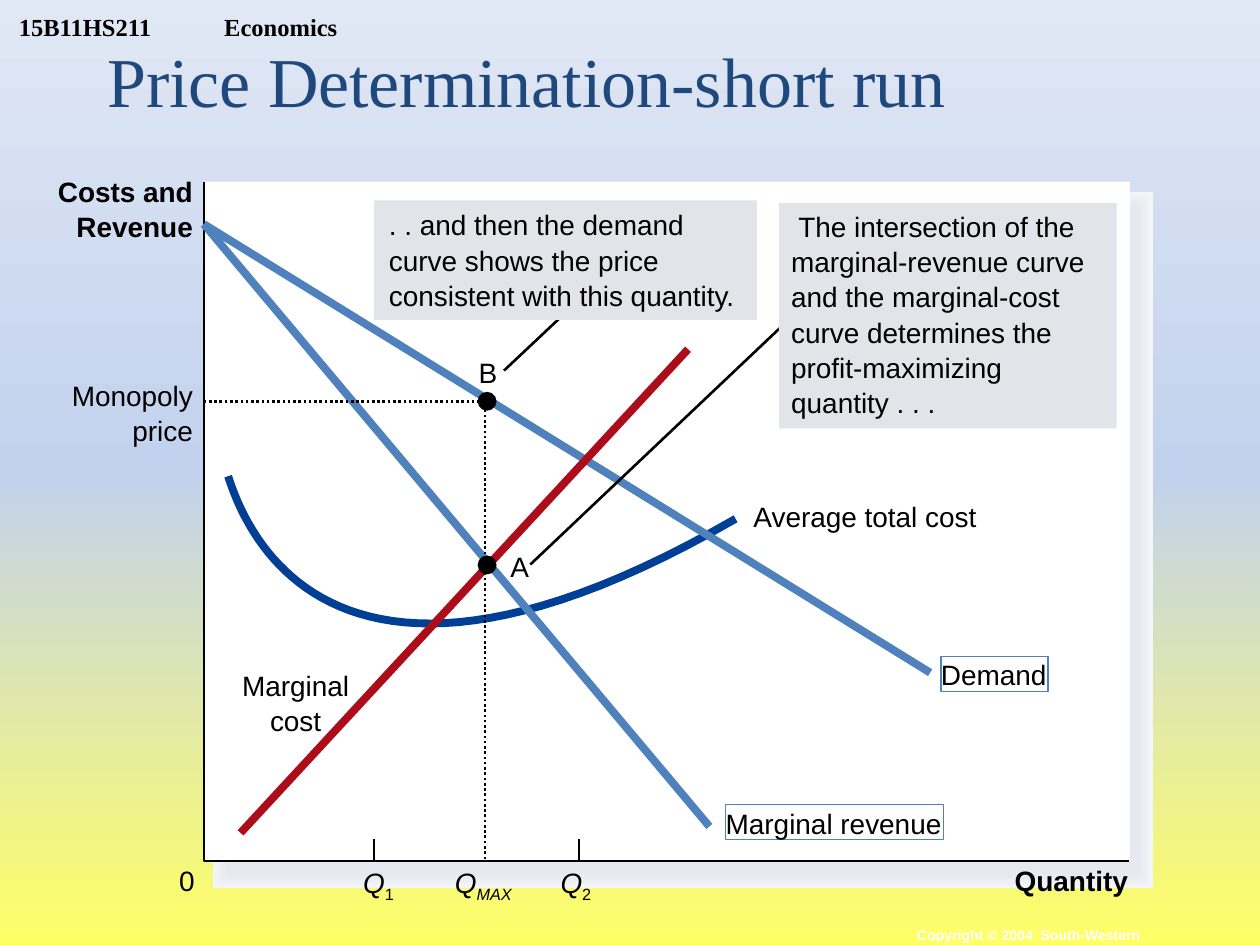
from copy import deepcopy
from dataclasses import dataclass

from lxml import etree
from pptx import Presentation
from pptx import util as u
from pptx.dml.color import RGBColor
from pptx.enum import dml, shapes, text
from pptx.oxml import ns

BLACK, BLUE, NAVY, RED = "000000", "4F81BD", "003F95", "AD0D1B"
LINE_HEIGHT = 0.71
AXIS_LABEL_TOP, QUANTITY_TOP = 17.38, 17.5
LEFT, CENTER, RIGHT = text.PP_ALIGN.LEFT, text.PP_ALIGN.CENTER, text.PP_ALIGN.RIGHT
Point = tuple[float, float]


@dataclass
class Label:
    words: str
    left: float
    top: float
    width: float
    align: text.PP_ALIGN = LEFT
    bold: bool = False
    italic: bool = False
    subscript: str = ""
    outline: str = ""


@dataclass
class Segment:
    start: Point
    end: Point
    color: str = BLACK
    weight: float = 1.5


@dataclass
class Callout:
    words: str
    box: tuple[float, float, float, float]
    insets: tuple[float, float, float, float]
    leader: Segment


def rgb(color: str) -> RGBColor:
    return RGBColor.from_string(color)


def style_line(line, color: str, weight: float) -> None:
    line.color.rgb = rgb(color)
    line.width = u.Pt(weight)


def set_insets(frame, left=0.0, top=0.0, right=0.0, bottom=0.0) -> None:
    frame.margin_left, frame.margin_top = u.Cm(left), u.Cm(top)
    frame.margin_right, frame.margin_bottom = u.Cm(right), u.Cm(bottom)


def style_text(paragraph, size: float, color: str = BLACK, name: str = "Arial",
               bold: bool = False, italic: bool = False) -> None:
    font = paragraph.font
    font.size, font.name, font.bold, font.italic = u.Pt(size), name, bold, italic
    font.color.rgb = rgb(color)


def draw_shape(slide, kind, box, fill: str, line: str = "", weight: float = 0):
    shape = slide.shapes.add_shape(kind, *map(u.Cm, box))
    shape.shadow.inherit = False
    shape.fill.solid()
    shape.fill.fore_color.rgb = rgb(fill)
    if line:
        style_line(shape.line, line, weight)
        outline = shape.element.spPr.find(ns.qn("a:ln"))
        etree.SubElement(outline, ns.qn("a:miter"), lim="800000")
    else:
        shape.line.fill.background()
    return shape


def draw_segment(slide, segment: Segment) -> None:
    line = slide.shapes.add_connector(
        shapes.MSO_CONNECTOR.STRAIGHT, *map(u.Cm, segment.start + segment.end))
    style_line(line.line, segment.color, segment.weight)
    etree.SubElement(line.element.spPr, ns.qn("a:effectLst"))


def draw_path(slide, points: list[Point], color: str = BLACK, weight: float = 1.5):
    start, *rest = [(u.Cm(x), u.Cm(y)) for x, y in points]
    builder = slide.shapes.build_freeform(*start)
    builder.add_line_segments(rest, close=False)
    path = builder.convert_to_shape()
    path.shadow.inherit = False
    path.fill.background()
    style_line(path.line, color, weight)
    return path


def bezier(controls: list[Point], steps: int = 48) -> list[Point]:
    """Points along a cubic curve."""
    points = []
    for step in range(steps + 1):
        t = step / steps
        weights = ((1 - t) ** 3, 3 * t * (1 - t) ** 2, 3 * t * t * (1 - t), t ** 3)
        points.append(tuple(sum(w * c[axis] for w, c in zip(weights, controls))
                            for axis in (0, 1)))
    return points


def draw_label(slide, label: Label) -> None:
    height = LINE_HEIGHT * (label.words.count("\v") + 1)
    box = slide.shapes.add_textbox(
        *map(u.Cm, (label.left, label.top, label.width, height)))
    if label.outline:
        style_line(box.line, label.outline, 0.75)
    set_insets(box.text_frame)
    box.text_frame.word_wrap = False
    paragraph = box.text_frame.paragraphs[0]
    paragraph.text = label.words
    paragraph.alignment = label.align
    paragraph.line_spacing = u.Cm(LINE_HEIGHT)
    style_text(paragraph, 16, bold=label.bold, italic=label.italic)
    if label.subscript:
        run = paragraph.add_run()
        run.text = label.subscript
        run.font.italic = label.subscript.isalpha()
        run.font._element.set("baseline", "-25000")


def draw_callout(slide, callout: Callout) -> None:
    draw_segment(slide, callout.leader)
    box = draw_shape(slide, shapes.MSO_SHAPE.RECTANGLE, callout.box, "E1E5E9")
    frame = box.text_frame
    frame.word_wrap = True
    frame.vertical_anchor = text.MSO_ANCHOR.TOP
    set_insets(frame, *callout.insets)
    paragraph = frame.paragraphs[0]
    paragraph.text = callout.words
    paragraph.alignment = LEFT
    paragraph.line_spacing = u.Cm(LINE_HEIGHT)
    style_text(paragraph, 16)


def draw_point(slide, center: Point, diameter: float = 0.38) -> None:
    x, y = (c - diameter / 2 for c in center)
    draw_shape(slide, shapes.MSO_SHAPE.OVAL, (x, y, diameter, diameter), BLACK)


def paint_background(slide) -> None:
    fill = slide.background.fill
    fill.gradient()
    fill.gradient_angle = 90
    stop_list = slide.element.xpath("p:cSld/p:bg//a:gsLst")[0]
    stop_list.insert(1, deepcopy(stop_list[0]))
    colors = ("FFFF66", "C2D1ED", "E1E8F5")
    for stop, position, color in zip(fill.gradient_stops, (0, 0.5, 1), colors):
        stop.position = position
        stop.color.rgb = rgb(color)


def draw_heading(slide, words: str, box, size: float, color: str, name: str,
                 bold: bool = False, tab: float = 0):
    heading = slide.shapes.add_textbox(*map(u.Cm, box))
    heading.text_frame.word_wrap = True
    paragraph = heading.text_frame.paragraphs[0]
    paragraph.text = words
    if tab:
        tabs = etree.SubElement(paragraph._p.get_or_add_pPr(), ns.qn("a:tabLst"))
        etree.SubElement(tabs, ns.qn("a:tab"), pos=str(u.Cm(tab)), algn="l")
    style_text(paragraph, size, color, name, bold)
    return heading.text_frame


SHADOW_LAYERS = [
    ("F3F6F9", 16.75), ("F2F4F8", 15.25), ("F1F4F7", 13.63), ("F0F2F5", 12.13),
    ("EEF1F4", 10.63), ("EDEFF3", 9.13), ("EBEEF2", 7.63), ("EAECF1", 6.13),
    ("E9EBF0", 4.5), ("E7EAEF", 3), ("E6E9EF", 1.5)]
INTERCEPT = (4.11, 4.52)
TICKS = [Segment((x, 16.92), (x, 17.35)) for x in (7.54, 11.67)]
CURVES = [
    Segment(INTERCEPT, (18.75, 13.56), BLUE, 4.5),
    Segment(INTERCEPT, (14.3, 16.66), BLUE, 4.5),
    Segment((13.87, 7.04), (4.85, 16.79), RED, 4.5)]
AVERAGE_COST = [(4.6, 9.6), (4.98, 10.8), (6.78, 15.11), (14.83, 10.46)]
LABELS = [
    Label("Costs and\vRevenue", 0.69, 3.48, 3.2, RIGHT, bold=True),
    Label("Monopoly\vprice", 0.69, 7.59, 3.2, RIGHT),
    Label("Marginal\vcost", 4.71, 13.44, 2.5, CENTER),
    Label("Average total cost", 15.19, 10.03, 4.8),
    Label("Demand", 18.97, 13.23, 2.16, outline=BLUE),
    Label("Marginal revenue", 14.63, 16.22, 4.39, outline=BLUE),
    Label("B", 9.65, 7.13, 0.5),
    Label("A", 10.29, 11.04, 0.5),
    Label("0", 3.61, AXIS_LABEL_TOP, 0.4),
    Label("Q", 7.32, QUANTITY_TOP, 0.8, italic=True, subscript="1"),
    Label("Q", 9.17, QUANTITY_TOP, 1.5, italic=True, subscript="MAX"),
    Label("Q", 11.3, QUANTITY_TOP, 0.8, italic=True, subscript="2"),
    Label("Quantity", 20.24, AXIS_LABEL_TOP, 2.5, RIGHT, bold=True)]
CALLOUTS = [
    Callout(" The intersection of the marginal-revenue curve and the marginal-cost "
            "curve determines the profit-maximizing quantity . . .",
            (15.7, 4.09, 6.81, 4.55), (0.25, 0.1, 0.5, 0),
            Segment((10.69, 11.38), (16, 6.35))),
    Callout(". . and then the demand curve shows the price consistent with this quantity.",
            (7.54, 4.04, 7.72, 2.41), (0.3, 0.12, 0.25, 0),
            Segment((10.16, 7.47), (11.35, 6.35)))]


def main() -> None:
    deck = Presentation()
    deck.slide_width, deck.slide_height = u.Cm(25.4), u.Cm(19.05)
    slide = deck.slides.add_slide(deck.slide_layouts[6])
    paint_background(slide)

    course = draw_heading(slide, "15B11HS211\tEconomics", (0.13, 0, 8.13, 0.84),
                          14, BLACK, "Times New Roman", bold=True, tab=4.14)
    course.vertical_anchor = text.MSO_ANCHOR.BOTTOM
    set_insets(course, left=0.25, right=0.25)
    draw_heading(slide, "Copyright © 2004  South-Western", (18.24, 18.55, 6, 0.5),
                 8, "FFFFFF", "Arial", bold=True)
    draw_heading(slide, "Price Determination-short run", (1.91, 0.64, 18.85, 1.96),
                 40, "1F497D", "Times New Roman")

    rectangle = shapes.MSO_SHAPE.RECTANGLE
    for color, weight in SHADOW_LAYERS:
        draw_shape(slide, rectangle, (4.6, 4.17, 18.34, 13.44), color, color, weight)
    draw_shape(slide, rectangle, (4.11, 3.66, 18.67, 13.69), "FFFFFF")
    draw_path(slide, [(4.11, 3.66), (4.11, 17.36), (22.77, 17.36)])
    draw_path(slide, bezier(AVERAGE_COST), NAVY, 4.5)
    for segment in TICKS + CURVES:
        draw_segment(slide, segment)
    guide = draw_path(slide, [(9.78, 17.32), (9.78, 8.1), (4.11, 8.1)])
    guide.line.dash_style = dml.MSO_LINE.ROUND_DOT
    for callout in CALLOUTS:
        draw_callout(slide, callout)
    for center in ((9.82, 8.09), (9.82, 11.39)):
        draw_point(slide, center)
    for label in LABELS:
        draw_label(slide, label)
    deck.save("out.pptx")


if __name__ == "__main__":
    main()
